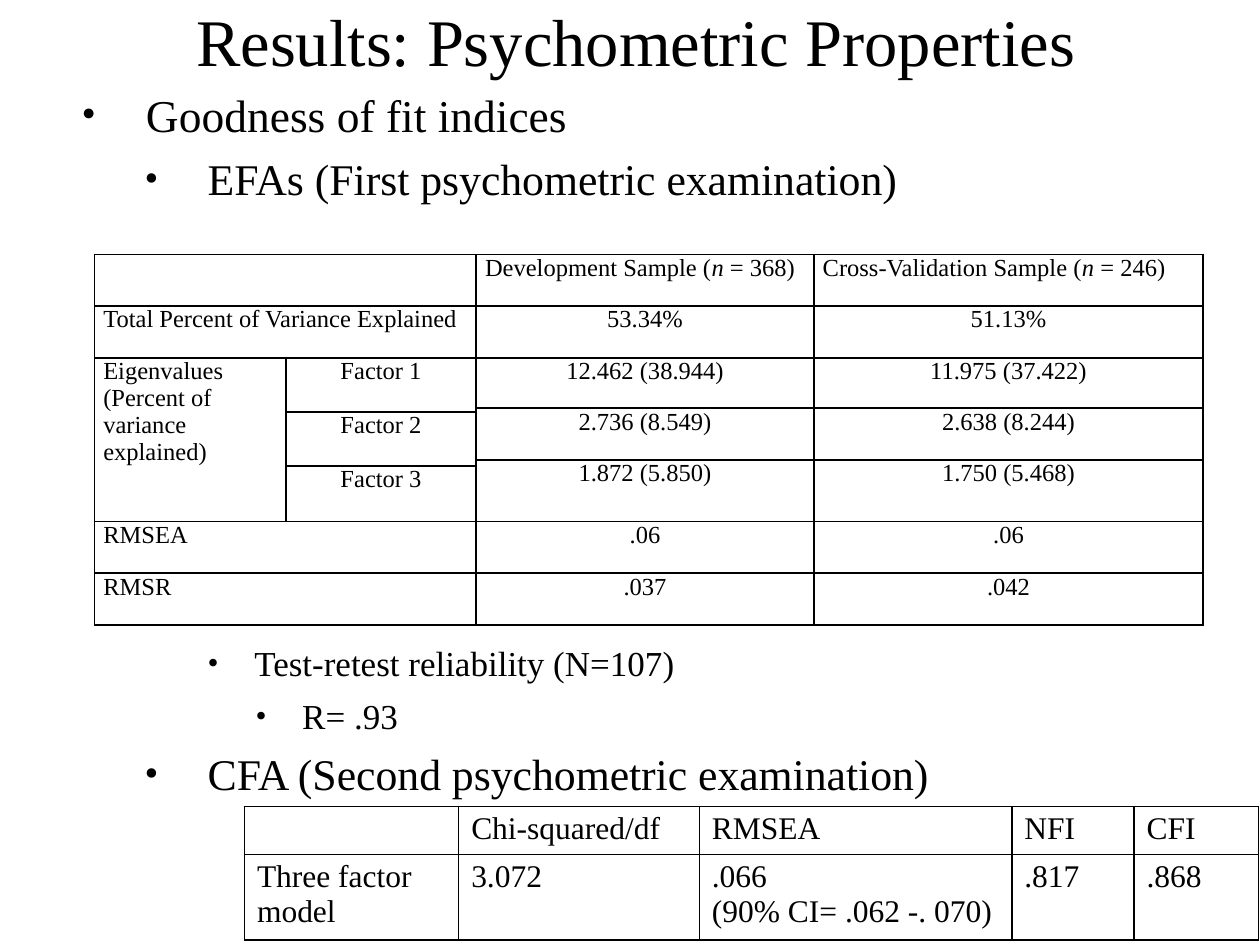
from dataclasses import dataclass

from lxml.etree import SubElement
from pptx import Presentation
from pptx.dml.color import RGBColor
from pptx.enum.text import MSO_ANCHOR, PP_ALIGN
from pptx.oxml import parse_xml
from pptx.oxml.ns import nsdecls, qn
from pptx.util import Inches, Pt


@dataclass(frozen=True)
class Theme:
    font: str = "Times New Roman"
    ink: RGBColor = RGBColor(0, 0, 0)
    title: int = 38
    levels: tuple = (26, 25, 20, 20)
    factor_table: int = 14
    fit_table: int = 18
    border: float = 1


THEME = Theme()

# Left margin and hanging indent of each outline level, in inches
INDENTS = ((0.51, 0.51), (1, 0.5), (1.37, 0.37), (1.75, 0.37))

# Level, text, space before in points; the third item clears the factor table
OUTLINE = (
    (0, "Goodness of fit indices", 0),
    (1, "EFAs (First psychometric examination)", 6),
    (2, "Test-retest reliability (N=107)", 250),
    (3, "R= .93", 6),
    (1, "CFA (Second psychometric examination)", 6),
)

# Row, column, text; asterisks enclose italics
FACTOR_CELLS = (
    (0, 2, "Development Sample (*n* = 368)"),
    (0, 3, "Cross-Validation Sample (*n *= 246)"),
    (1, 0, "Total Percent of Variance Explained"),
    (1, 2, "53.34%"), (1, 3, "51.13%"),
    (2, 0, "Eigenvalues (Percent of variance explained)"),
    (2, 1, "Factor 1"), (2, 2, "12.462 (38.944)"), (2, 3, "11.975 (37.422)"),
    (4, 1, "Factor 2"), (3, 2, "2.736 (8.549)"), (3, 3, "2.638 (8.244)"),
    (6, 1, "Factor 3"), (5, 2, "1.872 (5.850)"), (5, 3, "1.750 (5.468)"),
    (7, 0, "RMSEA"), (7, 2, ".06"), (7, 3, ".06"),
    (8, 0, "RMSR"), (8, 2, ".037"), (8, 3, ".042"),
)

# First row, first column, last row, last column
FACTOR_MERGES = (
    *((row, 0, row, 1) for row in (0, 1, 7, 8)),
    (2, 0, 6, 0),
    *((row, 1, row + 1, 1) for row in (2, 4)),
    *((row, column, row + 1, column) for row in (3, 5) for column in (2, 3)),
)

FIT_ROWS = (
    ("", "Chi-squared/df", "RMSEA", "NFI", "CFI"),
    ("Three factor model", "3.072", ".066\n(90% CI= .062 -. 070)", ".817", ".868"),
)


def write_text(paragraph, text, size, align=PP_ALIGN.LEFT, before=0, after=0):
    """Fill a paragraph; parts between asterisks are italic."""
    paragraph.alignment = align
    paragraph.space_before = Pt(before)
    paragraph.space_after = Pt(after)
    paragraph.font.size = Pt(size)
    for index, part in enumerate(text.split("*")):
        run = paragraph.add_run()
        run.text = part
        run.font.name = THEME.font
        run.font.size = Pt(size)
        run.font.italic = index % 2 == 1
        run.font.color.rgb = THEME.ink


def set_bullet(paragraph, level):
    paragraph.level = level
    margin, hanging = INDENTS[level]
    properties = paragraph._p.get_or_add_pPr()
    properties.set("marL", str(Inches(margin)))
    properties.set("indent", str(-Inches(hanging)))
    bullet_parts = (("buSzPct", {"val": "90000"}),
                    ("buFont", {"typeface": THEME.font}),
                    ("buChar", {"char": "•"}))
    default_run = properties.find(qn("a:defRPr"))
    for tag, attributes in bullet_parts:
        default_run.addprevious(SubElement(properties, qn(f"a:{tag}"), attributes))


def set_borders(cell):
    properties = cell._tc.get_or_add_tcPr()
    for index, side in enumerate(("lnL", "lnR", "lnT", "lnB")):
        line = parse_xml(
            f'<a:{side} {nsdecls("a")} w="{Pt(THEME.border)}"><a:solidFill>'
            f'<a:srgbClr val="{THEME.ink}"/></a:solidFill></a:{side}>'
        )
        properties.insert(index, line)


def add_plain_table(slide, left, top, widths, heights, margin_x, margin_y):
    """Add an unfilled table with a thin border around every cell."""
    frame = slide.shapes.add_table(
        len(heights), len(widths), Inches(left), Inches(top),
        Inches(sum(widths)), Inches(sum(heights)),
    )
    table = frame.table
    table.first_row = False
    table.horz_banding = False
    for column, width in zip(table.columns, widths):
        column.width = Inches(width)
    for row, height in zip(table.rows, heights):
        row.height = Inches(height)
    for cell in table.iter_cells():
        cell.margin_left = cell.margin_right = Inches(margin_x)
        cell.margin_top = cell.margin_bottom = Inches(margin_y)
        cell.fill.background()
        set_borders(cell)
    return table


def add_title(slide, left, top, width, height):
    title = slide.shapes.title
    title.left, title.top = Inches(left), Inches(top)
    title.width, title.height = Inches(width), Inches(height)
    title.text_frame.vertical_anchor = MSO_ANCHOR.MIDDLE
    write_text(title.text_frame.paragraphs[0], "Results: Psychometric Properties",
               size=THEME.title, align=PP_ALIGN.CENTER)


def add_outline(slide, left, top, width, height):
    box = slide.shapes.add_textbox(Inches(left), Inches(top), Inches(width), Inches(height))
    frame = box.text_frame
    frame.word_wrap = True
    for index, (level, text, before) in enumerate(OUTLINE):
        paragraph = frame.add_paragraph() if index else frame.paragraphs[0]
        write_text(paragraph, text, size=THEME.levels[level], before=before)
        set_bullet(paragraph, level)


def add_factor_table(slide, left, top):
    table = add_plain_table(
        slide, left, top,
        widths=(1.52, 1.51, 2.68, 3.09),
        heights=(0.41, 0.41, 0.4, 0.03, 0.38, 0.05, 0.44, 0.41, 0.41),
        margin_x=0.07, margin_y=0,
    )
    for first_row, first_column, last_row, last_column in FACTOR_MERGES:
        table.cell(first_row, first_column).merge(table.cell(last_row, last_column))
    for row, column, text in FACTOR_CELLS:
        align = PP_ALIGN.CENTER if row and column else PP_ALIGN.LEFT
        paragraph = table.cell(row, column).text_frame.paragraphs[0]
        write_text(paragraph, text, size=THEME.factor_table, align=align, after=10)


def add_fit_table(slide, left, top):
    table = add_plain_table(slide, left, top, widths=(1.7, 1.91, 2.48, 0.97, 0.99),
                            heights=(0.38, 0.66), margin_x=0.1, margin_y=0.04)
    for row, texts in enumerate(FIT_ROWS):
        for column, text in enumerate(texts):
            frame = table.cell(row, column).text_frame
            for index, line in enumerate(text.split("\n")):
                paragraph = frame.add_paragraph() if index else frame.paragraphs[0]
                write_text(paragraph, line, size=THEME.fit_table)


def main():
    presentation = Presentation()
    presentation.slide_width = Inches(10)
    presentation.slide_height = Inches(7.5)
    slide = presentation.slides.add_slide(presentation.slide_layouts[5])

    # Heading and outline
    add_title(slide, 0.55, 0, 9, 0.64)
    add_outline(slide, 0.55, 0.64, 9.45, 6.08)

    # Result tables
    add_factor_table(slide, 0.75, 2.02)
    add_fit_table(slide, 1.94, 6.4)

    presentation.save("out.pptx")


if __name__ == "__main__":
    main()
